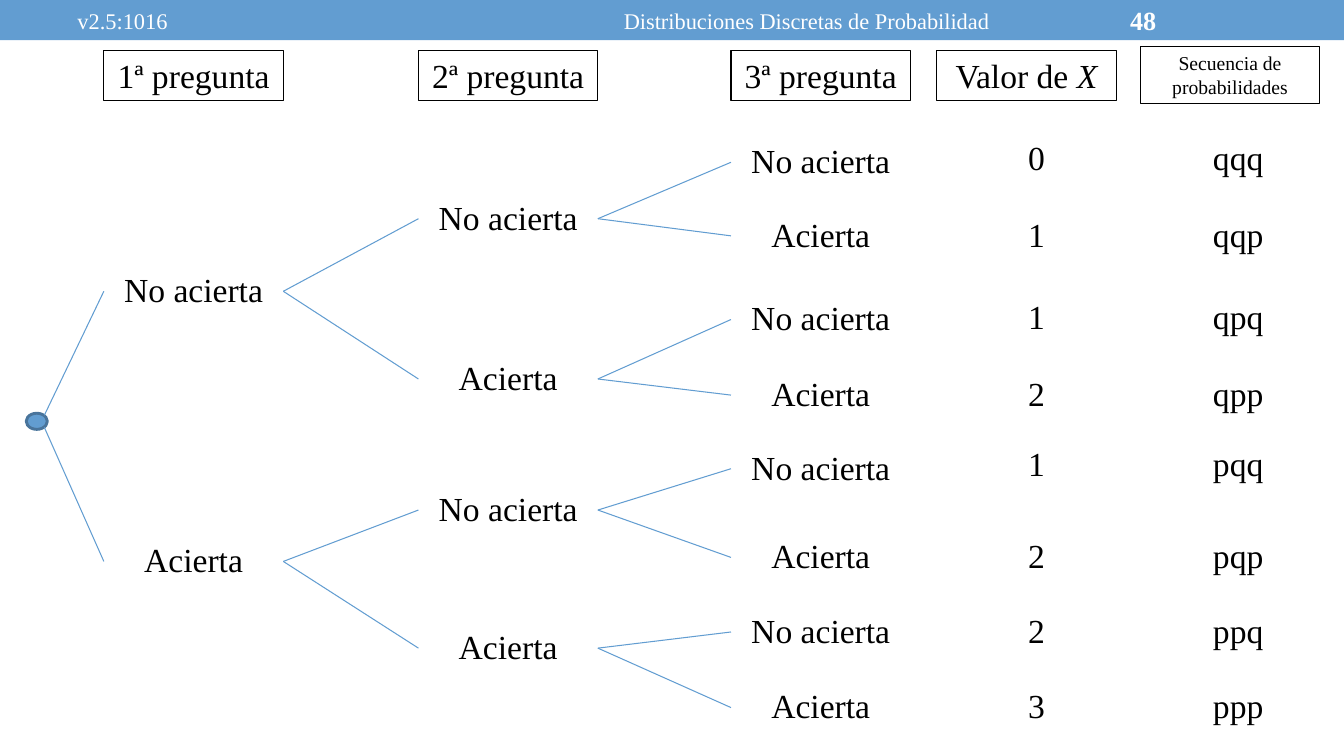
"""Build the slide with the probability tree of three questions."""
from dataclasses import dataclass
from itertools import product

from lxml import etree
from pptx import Presentation
from pptx.dml.color import RGBColor
from pptx.enum.shapes import MSO_CONNECTOR, MSO_SHAPE
from pptx.enum.text import MSO_ANCHOR, MSO_AUTO_SIZE, PP_ALIGN
from pptx.oxml.ns import qn
from pptx.slide import Slide
from pptx.util import Inches, Pt

LEFT, CENTER = PP_ALIGN.LEFT, PP_ALIGN.CENTER
TOP, MIDDLE = MSO_ANCHOR.TOP, MSO_ANCHOR.MIDDLE
FIT_SHAPE, FIXED = MSO_AUTO_SIZE.SHAPE_TO_FIT_TEXT, MSO_AUTO_SIZE.NONE
RECTANGLE, CONNECTOR_NODE = MSO_SHAPE.RECTANGLE, MSO_SHAPE.FLOWCHART_CONNECTOR
STRAIGHT = MSO_CONNECTOR.STRAIGHT

FONT = "Times New Roman"
BLUE, DARK_BLUE, BLACK, WHITE = "629DD1", "49749B", "000000", "FFFFFF"
LABEL_WIDTH, LABEL_HEIGHT = 1.78, 0.5
BRANCH_OFFSET = 0.27
ROOT_X, ROOT_YS = 0.44, (4.12, 4.24)
ANSWERS = ("No acierta", "Acierta")
VALUE_LEFT, SEQUENCE_LEFT = 9.39, 11.39
OUTCOME_TOPS = (1.31, 2.07, 2.89, 3.65, 4.34, 5.26, 6, 6.75)


@dataclass(frozen=True)
class Label:
    """A piece of text with its place and look."""
    text: str
    left: float
    top: float
    width: float = LABEL_WIDTH
    height: float = LABEL_HEIGHT
    size: float = 24
    color: str = BLACK
    bold: bool = False
    italic_end: str = ""
    align: PP_ALIGN = CENTER
    anchor: MSO_ANCHOR = TOP
    fit: MSO_AUTO_SIZE = FIT_SHAPE
    framed: bool = False


@dataclass(frozen=True)
class Question:
    """One level of the tree: its column and the tops of its answers."""
    heading: str
    left: float
    answer_tops: tuple[float, ...]


BAND_STYLE = {"top": 0.02, "height": 0.36, "color": WHITE, "anchor": MIDDLE, "fit": FIXED}
BAND_LABELS = (
    Label("v2.5:1016", 0.67, width=4.22, size=16, align=LEFT, **BAND_STYLE),
    Label("Distribuciones Discretas de Probabilidad", 5, width=6, size=16, **BAND_STYLE),
    Label("48", 11.11, width=1.56, size=18.7, bold=True, align=LEFT, **BAND_STYLE),
)
OUTCOME_HEADINGS = (
    Label("Valor de ", 9.29, 0.5, italic_end="X", framed=True),
    Label("Secuencia de probabilidades", 11.31, 0.46, height=0.57, size=14, framed=True),
)
QUESTIONS = (
    Question("1ª pregunta", 1.03, (2.62, 5.3)),
    Question("2ª pregunta", 4.15, (1.9, 3.49, 4.79, 6.16)),
    Question("3ª pregunta", 7.25, (1.34, 2.07, 2.9, 3.65, 4.38, 5.26, 6, 6.75)),
)


def rgb(color: str) -> RGBColor:
    """Turn a hex string into a colour."""
    return RGBColor.from_string(color)


def add_label(slide: Slide, label: Label) -> None:
    """Write one label, with a thin frame when it is a heading."""
    box = slide.shapes.add_textbox(
        Inches(label.left), Inches(label.top), Inches(label.width), Inches(label.height))
    if label.framed:
        box.line.color.rgb = rgb(BLACK)
        box.line.width = Pt(0.75)
    frame = box.text_frame
    frame.word_wrap = True
    frame.auto_size = label.fit
    frame.vertical_anchor = label.anchor
    paragraph = frame.paragraphs[0]
    paragraph.text = label.text
    paragraph.alignment = label.align
    if label.italic_end:
        ending = paragraph.add_run()
        ending.text = label.italic_end
        ending.font.italic = True
    for run in paragraph.runs:
        run.font.name = FONT
        run.font.size = Pt(label.size)
        run.font.bold = label.bold
        run.font.color.rgb = rgb(label.color)


def add_branch(slide: Slide, start: tuple[float, float], end: tuple[float, float]) -> None:
    """Draw one branch of the tree."""
    branch = slide.shapes.add_connector(STRAIGHT, *(Inches(length) for length in start + end))
    branch.line.color.rgb = rgb(BLUE)
    branch.line.width = Pt(0.75)
    etree.SubElement(branch._element.spPr, qn("a:effectLst"))


def add_band(slide: Slide) -> None:
    """Draw the band across the top and its texts."""
    band = slide.shapes.add_shape(RECTANGLE, 0, 0, Inches(13.33), Inches(0.4))
    band.shadow.inherit = False
    band.fill.solid()
    band.fill.fore_color.rgb = rgb(BLUE)
    band.line.fill.background()
    for label in BAND_LABELS:
        add_label(slide, label)


def add_root(slide: Slide) -> None:
    """Draw the node where the tree starts."""
    root = slide.shapes.add_shape(
        CONNECTOR_NODE, Inches(0.26), Inches(4.1), Inches(0.21), Inches(0.16))
    root.shadow.inherit = False
    root.fill.solid()
    root.fill.fore_color.rgb = rgb(BLUE)
    root.line.color.rgb = rgb(DARK_BLUE)
    root.line.width = Pt(2.08)


def add_tree(slide: Slide) -> None:
    """Draw the questions, each answer branching into two."""
    starts = [(ROOT_X, y) for y in ROOT_YS]
    for question in QUESTIONS:
        add_label(slide, Label(question.heading, question.left, 0.5, framed=True))
        next_starts = []
        for index, (start, top) in enumerate(zip(starts, question.answer_tops)):
            branch_y = top + BRANCH_OFFSET
            add_label(slide, Label(ANSWERS[index % 2], question.left, top))
            add_branch(slide, start, (question.left, branch_y))
            next_starts += [(question.left + LABEL_WIDTH, branch_y)] * 2
        starts = next_starts


def add_outcomes(slide: Slide) -> None:
    """List the value of X and the probability sequence of each outcome."""
    for heading in OUTCOME_HEADINGS:
        add_label(slide, heading)
    for top, sequence in zip(OUTCOME_TOPS, product("qp", repeat=len(QUESTIONS))):
        add_label(slide, Label(str(sequence.count("p")), VALUE_LEFT, top))
        add_label(slide, Label("".join(sequence), SEQUENCE_LEFT, top))


def main() -> None:
    """Build and save the presentation."""
    presentation = Presentation()
    presentation.slide_width = Inches(13.33)
    presentation.slide_height = Inches(7.5)
    slide = presentation.slides.add_slide(presentation.slide_layouts[6])
    add_band(slide)
    add_root(slide)
    add_tree(slide)
    add_outcomes(slide)
    presentation.save("out.pptx")


if __name__ == "__main__":
    main()
